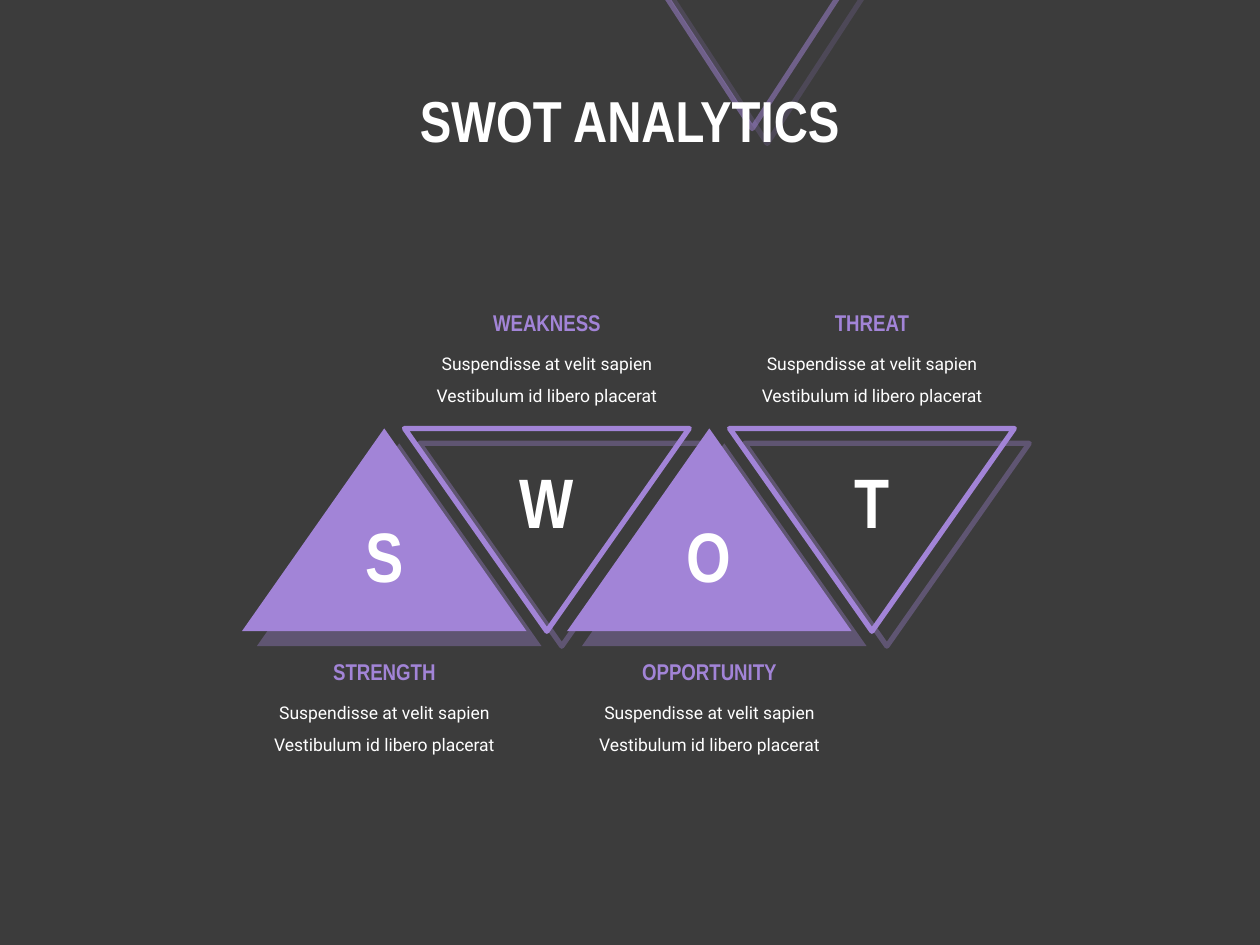
from lxml import etree
from pptx import Presentation
from pptx.dml.color import RGBColor
from pptx.enum import shapes, text
from pptx.oxml import ns
from pptx.util import Inches, Pt

TITLE = "SWOT ANALYTICS"
DETAIL = "Suspendisse at velit sapien Vestibulum id libero placerat"
PARTS = [
    ("S", "STRENGTH", DETAIL),
    ("W", "WEAKNESS", DETAIL),
    ("O", "OPPORTUNITY", DETAIL),
    ("T", "THREAT", DETAIL),
]

BACKGROUND = RGBColor(0x3C, 0x3C, 0x3C)
PURPLE = RGBColor(0xA2, 0x84, 0xD7)
WHITE = RGBColor(0xFF, 0xFF, 0xFF)
HEADING_FONT = "Arial Narrow"
BODY_FONT = "Roboto"

FIRST_CENTER, STEP = 3.05, 1.29
TRIANGLE_TOP, TRIANGLE_WIDTH, TRIANGLE_HEIGHT = 3.4, 2.26, 1.61
UPRIGHT = {"letter": 4.02, "heading": 5.17, "detail": 5.44}
INVERTED = {"letter": 3.59, "heading": 2.4, "detail": 2.67}


def add_alpha(color_element, percent):
    etree.SubElement(color_element, ns.qn("a:alpha"), val=str(percent * 1000))


def add_text(slide, content, center, top, width, height, size, color=WHITE,
             font=HEADING_FONT, bold=True, spacing=None,
             anchor=text.MSO_ANCHOR.TOP):
    box = slide.shapes.add_textbox(Inches(center - width / 2), Inches(top),
                                   Inches(width), Inches(height))
    frame = box.text_frame
    frame.word_wrap = True
    frame.vertical_anchor = anchor
    paragraph = frame.paragraphs[0]
    paragraph.alignment = text.PP_ALIGN.CENTER
    if spacing:
        paragraph.line_spacing = spacing
    run = paragraph.add_run()
    run.text = content
    run.font.name = font
    run.font.size = Pt(size)
    run.font.bold = bold
    run.font.color.rgb = color


def add_triangle(slide, center, top, width, height, inverted, line_alpha=None):
    triangle = slide.shapes.add_shape(
        shapes.MSO_SHAPE.ISOSCELES_TRIANGLE, Inches(center - width / 2),
        Inches(top), Inches(width), Inches(height))
    if inverted:
        triangle.rotation = 180
        triangle.fill.background()
        triangle.line.color.rgb = PURPLE
        triangle.line.width = Pt(3)
    else:
        triangle.fill.solid()
        triangle.fill.fore_color.rgb = PURPLE
        triangle.line.fill.background()
    properties = triangle._element.spPr
    if line_alpha:
        add_alpha(properties.find(".//" + ns.qn("a:ln")).find(
            ".//" + ns.qn("a:srgbClr")), line_alpha)
    triangle.shadow.inherit = False
    effects = properties.find(ns.qn("a:effectLst"))
    shadow = etree.SubElement(
        effects, ns.qn("a:outerShdw"), blurRad="0", dist=str(Pt(12.1)),
        dir=str(45 * 60000), algn="tl", rotWithShape="0")
    shadow_color = etree.SubElement(shadow, ns.qn("a:srgbClr"), val=str(PURPLE))
    add_alpha(shadow_color, 35)


def main():
    deck = Presentation()
    deck.slide_width, deck.slide_height = Inches(10), Inches(7.5)
    slide = deck.slides.add_slide(deck.slide_layouts[6])
    slide.background.fill.solid()
    slide.background.fill.fore_color.rgb = BACKGROUND

    add_triangle(slide, 5.97, -0.16, 1.54, 1.18, inverted=True, line_alpha=50)
    add_text(slide, TITLE, 5, 0.49, 5.1, 0.98, size=33, spacing=0.9,
             anchor=text.MSO_ANCHOR.MIDDLE)

    centers = [FIRST_CENTER + STEP * i for i in range(len(PARTS))]
    for i, center in enumerate(centers):
        add_triangle(slide, center, TRIANGLE_TOP, TRIANGLE_WIDTH,
                     TRIANGLE_HEIGHT, inverted=i % 2 == 1)
    for i, (center, (letter, heading, detail)) in enumerate(zip(centers, PARTS)):
        tops = INVERTED if i % 2 else UPRIGHT
        add_text(slide, letter, center, tops["letter"], 0.76, 0.77, size=40)
        add_text(slide, detail, center, tops["detail"], 2.23, 0.6, size=10,
                 font=BODY_FONT, bold=False, spacing=1.5)
        add_text(slide, heading, center, tops["heading"], 1.84, 0.32, size=13,
                 color=PURPLE)

    deck.save("out.pptx")


if __name__ == "__main__":
    main()
